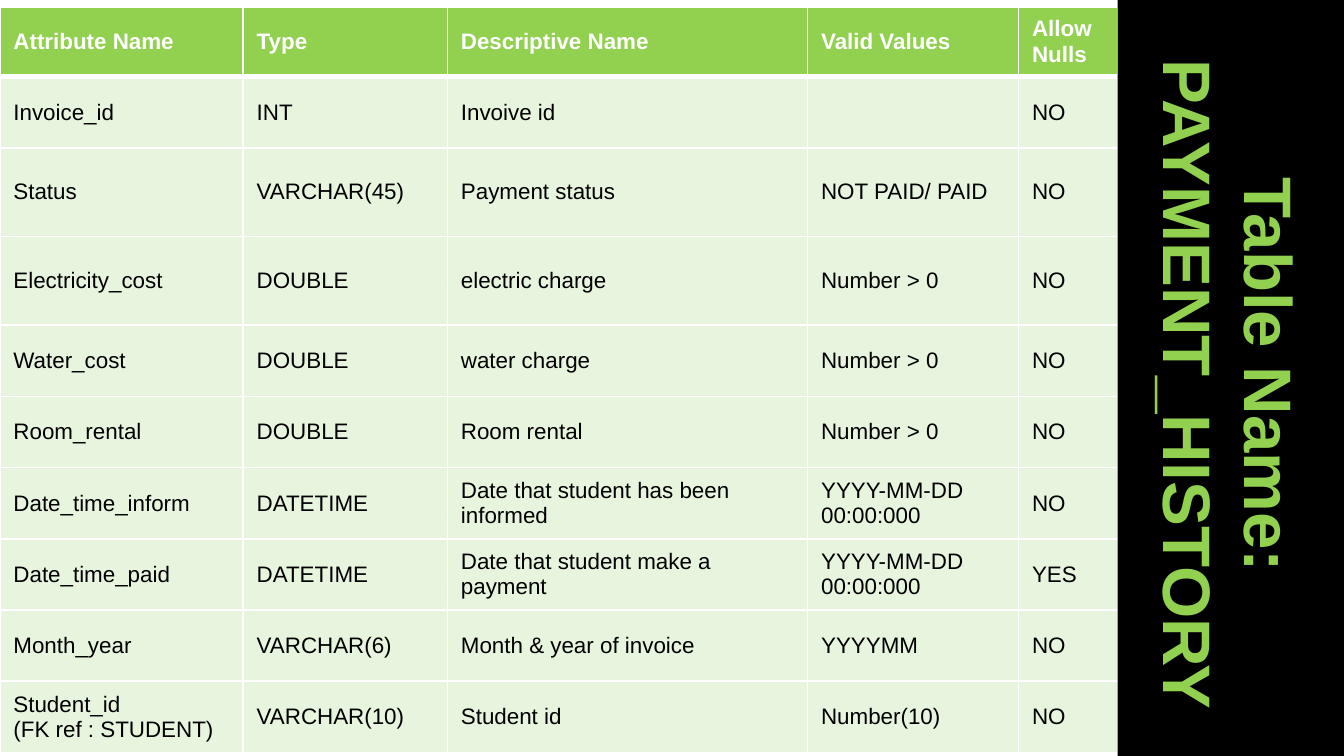
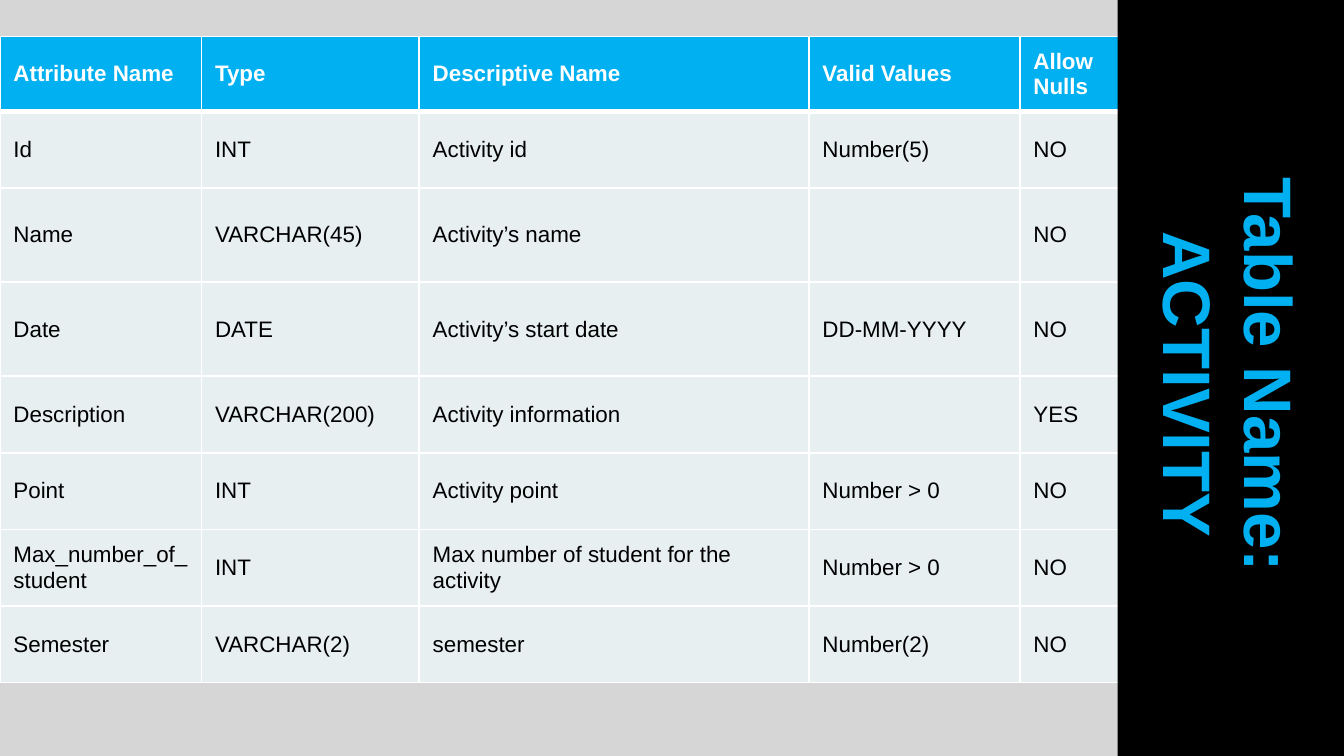
from lxml import etree
from pptx import Presentation
from pptx.dml.color import RGBColor
from pptx.enum.shapes import MSO_SHAPE
from pptx.enum.text import MSO_ANCHOR, PP_ALIGN
from pptx.oxml.ns import qn
from pptx.util import Inches, Pt

RECTANGLE = MSO_SHAPE.RECTANGLE
MIDDLE = MSO_ANCHOR.MIDDLE
LEFT, CENTER = PP_ALIGN.LEFT, PP_ALIGN.CENTER

WHITE = RGBColor(0xFF, 0xFF, 0xFF)
BLACK = RGBColor(0x00, 0x00, 0x00)
GREY = RGBColor(0xD6, 0xD6, 0xD6)
GREEN = RGBColor(0x92, 0xD0, 0x50)
PALE_GREEN = RGBColor(0xC3, 0xE8, 0xAD)
BLUE = RGBColor(0x00, 0xB0, 0xF0)
PALE_BLUE = RGBColor(0xE7, 0xEF, 0xF1)

FONT = "Arial"
SLIDE_WIDTH = 10
SLIDE_HEIGHT = SLIDE_WIDTH * 9 / 16
# Side band: size before its quarter turn, and its centre on the slide
BAND_LENGTH, BAND_DEPTH = 5.72, 1.69
BAND_CENTER_X, BAND_CENTER_Y = 9.16, 2.86
# Columns and rows shared by both tables
VALUES_WIDTH, NULLS_WIDTH = 1.57, 0.74
TALL_ROWS = (2, 3)
HEADER = ("Attribute Name", "Type", "Descriptive Name", "Valid Values", "Allow Nulls")

TABLES = [
    dict(
        name="PAYMENT_HISTORY", background=WHITE, accent=GREEN,
        body=PALE_GREEN, opacity=40, top=0.05,
        widths=(1.81, 1.52, 2.68, VALUES_WIDTH, NULLS_WIDTH),
        header_height=0.52, row_height=0.53, tall_height=0.66,
        rows=[
            ("Invoice_id", "INT", "Invoive id", "", "NO"),
            ("Status", "VARCHAR(45)", "Payment status", "NOT PAID/ PAID", "NO"),
            ("Electricity_cost", "DOUBLE", "electric charge", "Number > 0", "NO"),
            ("Water_cost", "DOUBLE", "water charge", "Number > 0", "NO"),
            ("Room_rental", "DOUBLE", "Room rental", "Number > 0", "NO"),
            ("Date_time_inform", "DATETIME", "Date that student has been informed",
             "YYYY-MM-DD 00:00:000", "NO"),
            ("Date_time_paid", "DATETIME", "Date that student make a payment",
             "YYYY-MM-DD 00:00:000", "YES"),
            ("Month_year", "VARCHAR(6)", "Month & year of invoice", "YYYYMM", "NO"),
            ("Student_id\n(FK ref : STUDENT)", "VARCHAR(10)", "Student id",
             "Number(10)", "NO"),
        ],
    ),
    dict(
        name="ACTIVITY", background=GREY, accent=BLUE,
        body=PALE_BLUE, opacity=100, top=0.27,
        widths=(1.5, 1.62, 2.9, VALUES_WIDTH, NULLS_WIDTH),
        header_height=0.56, row_height=0.57, tall_height=0.7,
        rows=[
            ("Id", "INT", "Activity id", "Number(5)", "NO"),
            ("Name", "VARCHAR(45)", "Activity’s name", "", "NO"),
            ("Date", "DATE", "Activity’s start date", "DD-MM-YYYY", "NO"),
            ("Description", "VARCHAR(200)", "Activity information", "", "YES"),
            ("Point", "INT", "Activity point", "Number > 0", "NO"),
            ("Max_number_of_student", "INT", "Max number of student for the activity",
             "Number > 0", "NO"),
            ("Semester", "VARCHAR(2)", "semester", "Number(2)", "NO"),
        ],
    ),
]


def write(frame, text, size=12, color=BLACK, bold=False, align=LEFT, spacing=None):
    """Fill a text frame, one paragraph for each line of text."""
    frame.word_wrap = True
    for index, line in enumerate(text.split("\n")):
        para = frame.add_paragraph() if index else frame.paragraphs[0]
        para.alignment = align
        para.line_spacing = spacing
        span = para.add_run()
        span.text = line
        span.font.name = FONT
        span.font.size = Pt(size)
        span.font.bold = bold
        span.font.color.rgb = color


def style_cell(cell, color, opacity, top_width, bottom_width):
    """Give a cell its fill and white borders."""
    cell.fill.solid()
    cell.fill.fore_color.rgb = color
    properties = cell._tc.get_or_add_tcPr()
    if opacity < 100:
        tint = properties.find(".//" + qn("a:srgbClr"))
        etree.SubElement(tint, qn("a:alpha"), val=str(opacity * 1000))
    borders = (("a:lnL", 1), ("a:lnR", 1), ("a:lnT", top_width), ("a:lnB", bottom_width))
    for position, (side, width) in enumerate(borders):
        border = etree.Element(qn(side), w=str(Pt(width)))
        paint = etree.SubElement(border, qn("a:solidFill"))
        etree.SubElement(paint, qn("a:srgbClr"), val=str(WHITE))
        properties.insert(position, border)


deck = Presentation()
deck.slide_width, deck.slide_height = Inches(SLIDE_WIDTH), Inches(SLIDE_HEIGHT)

for entry in TABLES:
    page = deck.slides.add_slide(deck.slide_layouts[6])
    page.background.fill.solid()
    page.background.fill.fore_color.rgb = entry["background"]

    # Attribute table
    rows = [HEADER] + entry["rows"]
    heights = [entry["tall_height"] if index in TALL_ROWS else entry["row_height"]
               for index in range(len(rows))]
    heights[0] = entry["header_height"]
    grid = page.shapes.add_table(
        len(rows), len(HEADER), 0, Inches(entry["top"]),
        Inches(sum(entry["widths"])), Inches(sum(heights))).table
    grid.horz_banding = False
    for column, width in zip(grid.columns, entry["widths"]):
        column.width = Inches(width)
    for row_index, values in enumerate(rows):
        grid.rows[row_index].height = Inches(heights[row_index])
        is_header = row_index == 0
        for column_index, value in enumerate(values):
            cell = grid.cell(row_index, column_index)
            cell.vertical_anchor = MIDDLE
            style_cell(cell,
                       entry["accent"] if is_header else entry["body"],
                       100 if is_header else entry["opacity"],
                       top_width=3 if row_index == 1 else 1,
                       bottom_width=3 if is_header else 1)
            if value:
                write(cell.text_frame, value, bold=is_header,
                      color=WHITE if is_header else BLACK)

    # Title band, turned to read downwards
    band = page.shapes.add_shape(
        RECTANGLE,
        Inches(BAND_CENTER_X - BAND_LENGTH / 2), Inches(BAND_CENTER_Y - BAND_DEPTH / 2),
        Inches(BAND_LENGTH), Inches(BAND_DEPTH))
    band.rotation = 90
    band.shadow.inherit = False
    band.fill.solid()
    band.fill.fore_color.rgb = BLACK
    band.line.fill.background()
    band.text_frame.vertical_anchor = MIDDLE
    write(band.text_frame, "Table Name: \n" + entry["name"], size=36, bold=True,
          color=entry["accent"], align=CENTER, spacing=Pt(43.5))

deck.save("out.pptx")
